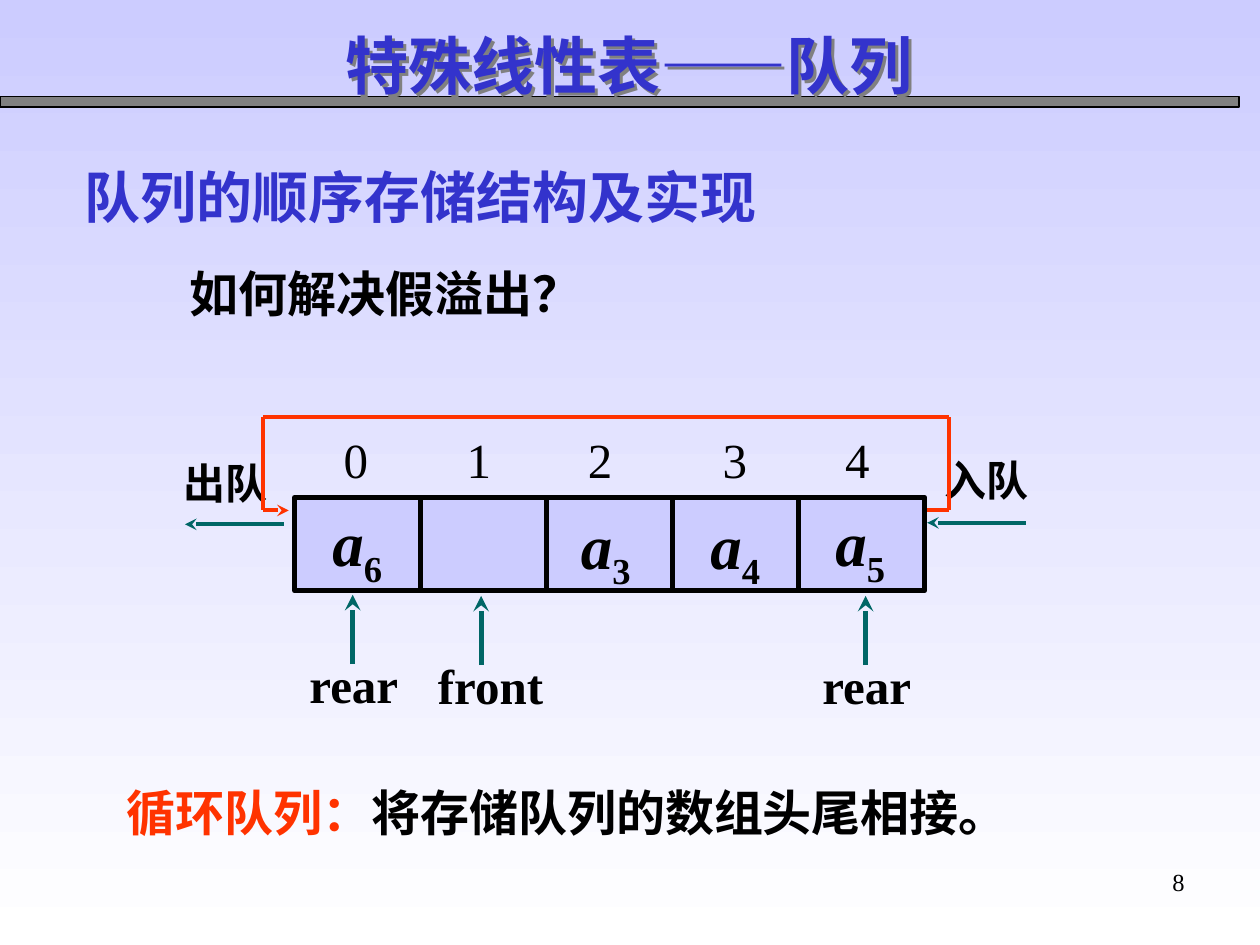
from dataclasses import dataclass

from lxml.etree import SubElement
from pptx import Presentation
from pptx.dml.color import RGBColor
from pptx.enum.shapes import MSO_CONNECTOR, MSO_SHAPE
from pptx.enum.text import MSO_AUTO_SIZE, PP_ALIGN
from pptx.oxml.ns import qn
from pptx.util import Cm, Pt


@dataclass(frozen=True)
class Theme:
    font: str = "Times New Roman"
    black: str = "000000"
    white: str = "FFFFFF"
    gray: str = "808080"
    lavender: str = "CCCCFF"
    blue: str = "3333CC"
    teal: str = "006666"
    red: str = "FF3300"
    title: int = 36
    heading: int = 32
    body: int = 28
    label: int = 24
    page: int = 14


class QueueSlide:
    def __init__(self, deck, theme):
        self.theme = theme
        self.slide = deck.slides.add_slide(deck.slide_layouts[6])

    def background(self, top, bottom):
        fill = self.slide.background.fill
        fill.gradient()
        fill.gradient_angle = 270
        for stop, color in zip(fill.gradient_stops, (top, bottom)):
            stop.color.rgb = RGBColor.from_string(color)

    def box(self, left, top, width, height, color, weight):
        rect = self.slide.shapes.add_shape(
            MSO_SHAPE.RECTANGLE, Cm(left), Cm(top), Cm(width), Cm(height))
        rect.shadow.inherit = False
        rect.fill.solid()
        rect.fill.fore_color.rgb = RGBColor.from_string(color)
        rect.line.color.rgb = RGBColor.from_string(self.theme.black)
        rect.line.width = Pt(weight)

    def line(self, start, end, color, weight=2.25, arrow=False):
        connector = self.slide.shapes.add_connector(
            MSO_CONNECTOR.STRAIGHT, *(Cm(value) for value in start + end))
        connector.line.color.rgb = RGBColor.from_string(color)
        connector.line.width = Pt(weight)
        if arrow:
            SubElement(connector.line._get_or_add_ln(), qn("a:tailEnd"), type="stealth")
        SubElement(connector._element.spPr, qn("a:effectLst"))

    def text(self, left, top, width, height, size, *runs, bold=True, tabs=(), align=None):
        textbox = self.slide.shapes.add_textbox(Cm(left), Cm(top), Cm(width), Cm(height))
        frame = textbox.text_frame
        frame.word_wrap = True
        frame.auto_size = MSO_AUTO_SIZE.SHAPE_TO_FIT_TEXT
        paragraph = frame.paragraphs[0]
        if tabs:
            stops = SubElement(paragraph._p.get_or_add_pPr(), qn("a:tabLst"))
            for position in tabs:
                SubElement(stops, qn("a:tab"), pos=str(Cm(position)), algn="l")
        if align is not None:
            paragraph.alignment = align
        for words, color in runs:
            run = paragraph.add_run()
            run.text = words
            run.font.name = self.theme.font
            run.font.size = Pt(size)
            run.font.bold = bold
            run.font.color.rgb = RGBColor.from_string(color)
        return textbox

    def shadowed_text(self, *args):
        textbox = self.text(*args)
        effects = SubElement(textbox._element.spPr, qn("a:effectLst"))
        shadow = SubElement(effects, qn("a:outerShdw"), dist=str(Cm(0.1)), dir="2700000",
                            algn="ctr", rotWithShape="0")
        SubElement(shadow, qn("a:srgbClr"), val=self.theme.gray)

    def element(self, left, top, subscript):
        black = self.theme.black
        textbox = self.text(left, top, 1.63, 1.78, self.theme.title,
                            ("a", black), (subscript, black))
        letter, index = textbox.text_frame.paragraphs[0].runs
        letter.font.italic = True
        index.font._element.set("baseline", "-25000")

    def pointer(self, x, tip, name):
        self.line((x, tip + 1.4), (x, tip), self.theme.teal, 3, arrow=True)
        self.text(x - 1.12, tip + 1.07, 2.87, 1.45, self.theme.body, (name, self.theme.black))


def main():
    theme = Theme()
    deck = Presentation()
    deck.slide_width, deck.slide_height = Cm(25.4), Cm(19.05)
    page = QueueSlide(deck, theme)

    page.background(theme.lavender, theme.white)
    page.box(0, 1.95, 24.98, 0.21, theme.gray, 0.75)
    page.text(18.21, 17.35, 5.92, 1.32, theme.page, ("8", theme.black),
              bold=False, align=PP_ALIGN.RIGHT)
    page.shadowed_text(6.71, 0.41, 14.96, 1.78, theme.title, ("特殊线性表——队列", theme.blue))
    page.text(1.45, 3.15, 17.15, 1.6, theme.heading, ("队列的顺序存储结构及实现", theme.blue))
    page.text(3.58, 5.18, 16.76, 1.45, theme.body, ("如何解决假溢出？", theme.black))
    page.text(2.31, 15.65, 19.25, 1.45, theme.body,
              ("循环队列：", theme.red), ("将存储队列的数组头尾相接。", theme.black))

    cell_width = 2.54
    for position in range(5):
        page.box(5.94 + position * cell_width, 10.03, cell_width, 1.88, theme.lavender, 3)
    page.text(6.68, 8.53, 11.89, 1.45, theme.body, ("0\t1\t2\t3\t4", theme.black),
              bold=False, tabs=(2.48, 4.92, 7.64, 10.11))
    for left, top, subscript in ((6.45, 10.03, "6"), (11.46, 10.08, "3"),
                                 (14.07, 10.08, "4"), (16.59, 10.03, "5")):
        page.element(left, top, subscript)

    for tip, y, left, top, name in ((18.69, 10.54, 18.8, 9.04, "入队"),
                                    (3.73, 10.57, 3.45, 9.09, "出队")):
        page.line((tip + 1.99, y), (tip, y), theme.teal, arrow=True)
        page.text(left, top, 2.6, 1.27, theme.label, (name, theme.black))

    for x, tip, name in ((7.11, 11.99, "rear"), (9.7, 12.01, "front"), (17.45, 12.01, "rear")):
        page.pointer(x, tip, name)

    loop = [(18.69, 10.29), (19.13, 10.29), (19.13, 8.41),
            (5.31, 8.41), (5.31, 10.29), (5.82, 10.29)]
    for start, end in zip(loop, loop[1:]):
        page.line(start, end, theme.red, arrow=end == loop[-1])

    deck.save("out.pptx")


if __name__ == "__main__":
    main()
